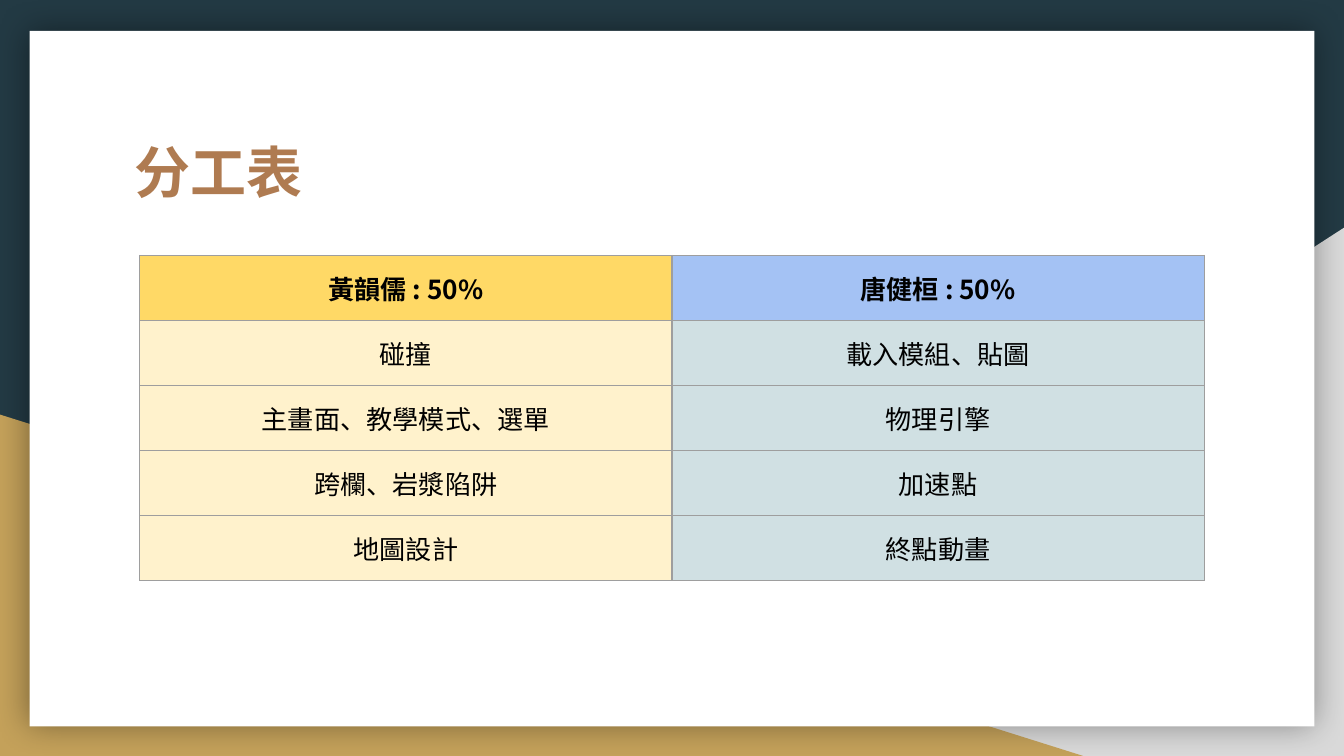
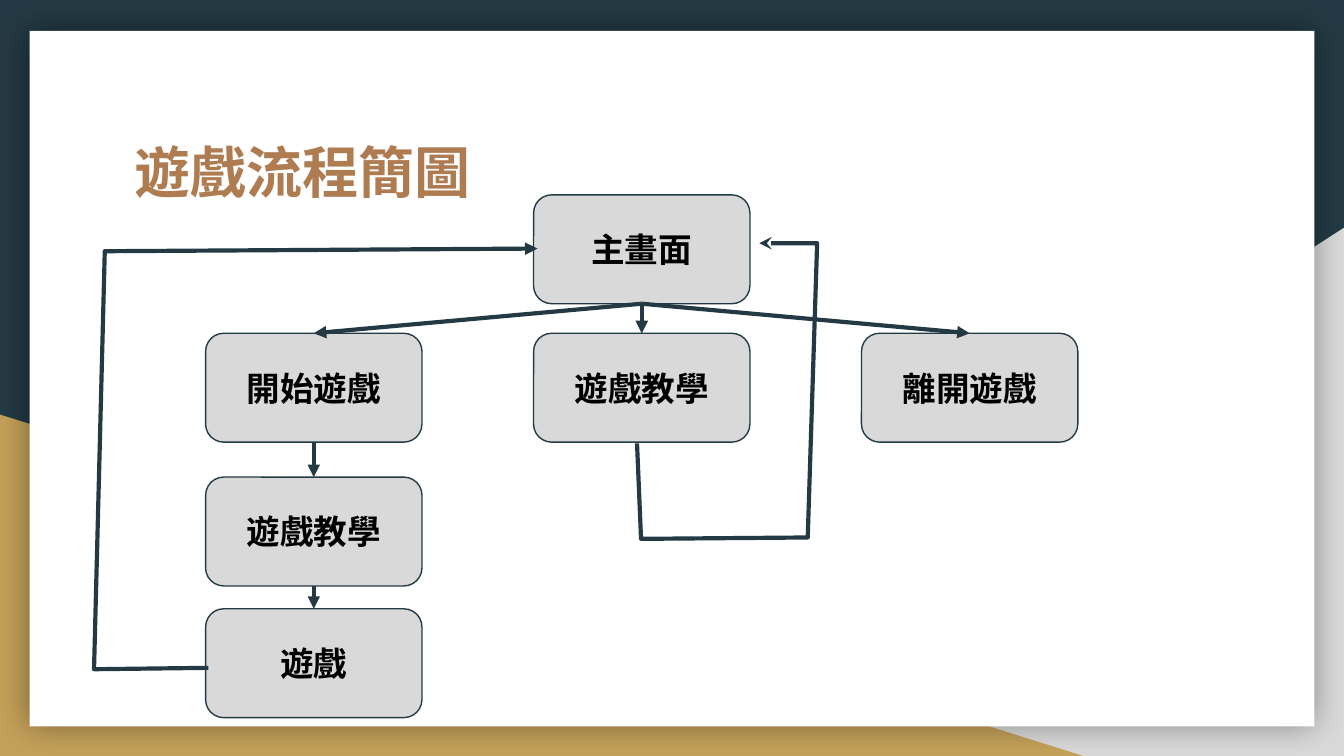
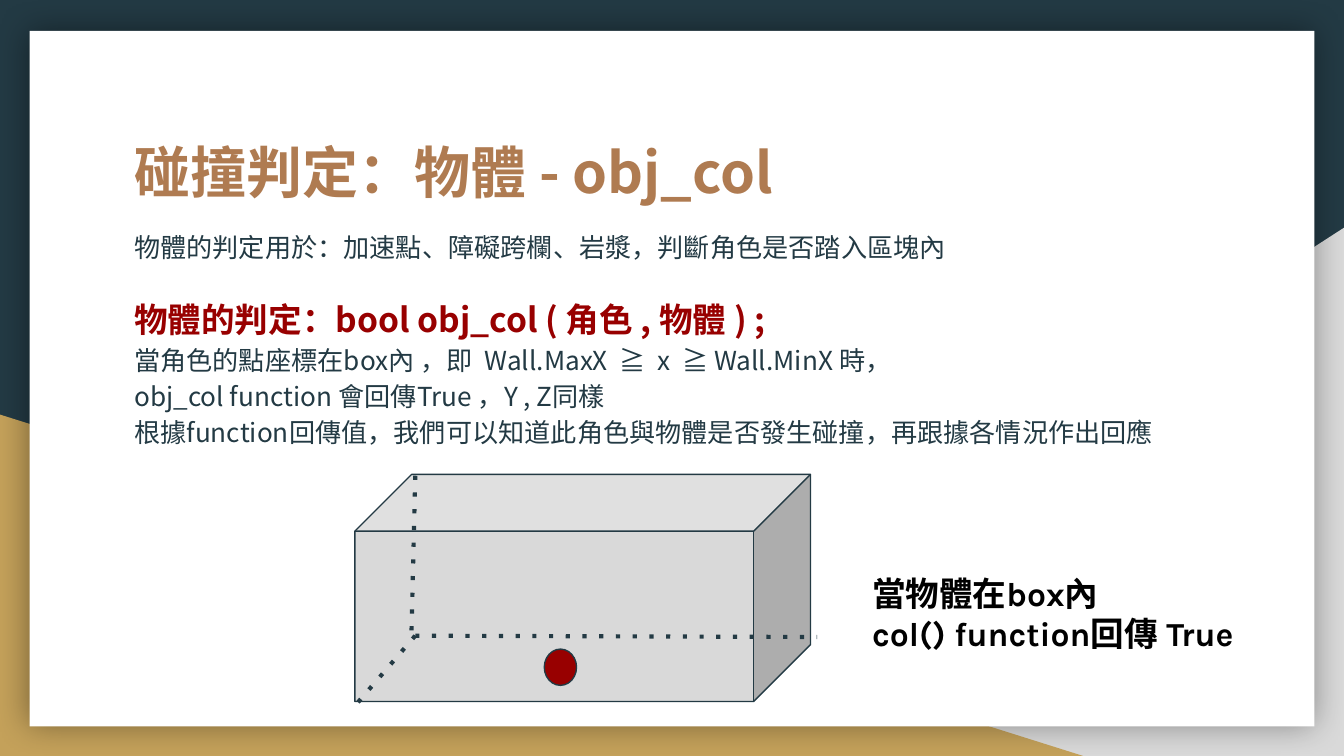
from copy import deepcopy
from dataclasses import dataclass

from lxml import etree
from pptx import Presentation
from pptx.dml.color import RGBColor
from pptx.enum.shapes import MSO_CONNECTOR, MSO_SHAPE
from pptx.enum.text import MSO_ANCHOR, PP_ALIGN
from pptx.oxml.ns import qn
from pptx.util import Inches, Pt

STRAIGHT = MSO_CONNECTOR.STRAIGHT
RECT, ROUND = MSO_SHAPE.RECTANGLE, MSO_SHAPE.ROUNDED_RECTANGLE
TRIANGLE, CUBE, OVAL = MSO_SHAPE.RIGHT_TRIANGLE, MSO_SHAPE.CUBE, MSO_SHAPE.OVAL
LEFT, CENTER = PP_ALIGN.LEFT, PP_ALIGN.CENTER
TOP, MIDDLE = MSO_ANCHOR.TOP, MSO_ANCHOR.MIDDLE
TOP_SIDE, BOTTOM_SIDE = 0, 2


@dataclass(frozen=True)
class Theme:
    font: str = "Noto Sans CJK TC"
    note_font: str = "Karla"
    navy: str = "233A44"
    gold: str = "C4A15A"
    gray: str = "D9D9D9"
    white: str = "FFFFFF"
    black: str = "000000"
    brown: str = "AF7B51"
    red: str = "980000"
    border: str = "9E9E9E"
    title: float = 30
    strong: float = 18
    body: float = 14
    thin: float = 0.75
    thick: float = 2.25


T = Theme()
W, H = 10, 5.625
MARGIN_X, CONTENT_W = 0.9, 8.21

# Content: division of work
WORK_TITLE = "分工表"
WORK = [
    ("黃韻儒 : 50%", "唐健桓 : 50%"),
    ("碰撞", "載入模組、貼圖"),
    ("主畫面、教學模式、選單", "物理引擎"),
    ("跨欄、岩漿陷阱", "加速點"),
    ("地圖設計", "終點動畫"),
]
WORK_HEAD_FILLS = ("FFD966", "A4C2F4")
WORK_BODY_FILLS = ("FFF2CC", "D0E0E3")

# Content: game flow, each step as (text, column, row)
FLOW_TITLE = "遊戲流程簡圖"
STEPS = {
    "main": ("主畫面", 1, 0),
    "start": ("開始遊戲", 0, 1),
    "tutorial": ("遊戲教學", 1, 1),
    "quit": ("離開遊戲", 2, 1),
    "start_tutorial": ("遊戲教學", 0, 2),
    "game": ("遊戲", 0, 3),
}
FLOW_ARROWS = [("main", "tutorial"), ("main", "start"), ("main", "quit"),
               ("start", "start_tutorial"), ("start_tutorial", "game")]
RETURN_ROUTES = [
    ("triangle", [(1.55, 4.97), (0.7, 4.98), (0.78, 1.87), (4, 1.85)]),
    ("stealth", [(4.74, 3.3), (4.77, 4.01), (6.01, 4), (6.08, 1.81), (5.65, 1.81)]),
]
STEP_W, STEP_H = 1.61, 0.81
COLUMN_LEFT, COLUMN_STEP = 1.53, 2.44
ROW_TOPS = (1.45, 2.48, 3.55, 4.53)

# Content: collision test
HIT_TITLE = "碰撞判定：物體 - obj_col"
HIT_USE = "物體的判定用於：加速點、障礙跨欄、岩漿，判斷角色是否踏入區塊內"
HIT_CALL = "物體的判定：bool obj_col ( 角色 , 物體 ) ;"
HIT_RULES = [
    "當角色的點座標在box內 ，即  Wall.MaxX  ≧  x  ≧ Wall.MinX 時，",
    "obj_col function 會回傳True ，Y , Z同樣",
    "根據function回傳值，我們可以知道此角色與物體是否發生碰撞，再跟據各情況作出回應",
]
HIT_NOTE = ["當物體在box內", "col() function回傳 True"]
HIDDEN_EDGES = [((3.09, 4.73), (6.08, 4.74)),
                ((3.09, 3.54), (3.06, 4.78)),
                ((3.09, 4.73), (2.66, 5.23))]


def rgb(value):
    return RGBColor.from_string(value)


def box(*lengths):
    return [Inches(v) for v in lengths]


# Text
def add_run(p, text, size, color, bold=False, font=T.font):
    r = p.add_run()
    r.text = text
    r.font.size, r.font.bold, r.font.name = Pt(size), bold, font
    r.font.color.rgb = rgb(color)
    etree.SubElement(r.font._element, qn("a:ea"), typeface=font)
    return r


def break_after(p, r):
    """Break the line at the size of the run before it."""
    p.add_line_break()
    p._p[-1].append(deepcopy(r.font._element))


def set_frame(tf, anchor=TOP):
    tf.word_wrap = True
    tf.vertical_anchor = anchor
    tf.margin_left = tf.margin_right = tf.margin_top = tf.margin_bottom = Inches(0.1)


def add_text(s, *at):
    tf = s.shapes.add_textbox(*box(*at)).text_frame
    set_frame(tf)
    return tf


# Shapes and lines
def set_line(sp, width, dash=None, head=None):
    sp.line.color.rgb = rgb(T.navy)
    sp.line.width = Pt(width)
    ln = sp.element.spPr.find(qn("a:ln"))
    if dash:
        etree.SubElement(ln, qn("a:prstDash"), val=dash)
    if head:
        etree.SubElement(ln, qn("a:tailEnd"), type=head)


def add_shape(s, kind, at, fill, outlined=True):
    sp = s.shapes.add_shape(kind, *box(*at))
    sp.shadow.inherit = False
    sp.fill.solid()
    sp.fill.fore_color.rgb = rgb(fill)
    if outlined:
        set_line(sp, T.thin)
    else:
        sp.line.fill.background()
    return sp


def add_line(s, start=(0, 0), end=(0, 0), dash=None, head=None):
    cx = s.shapes.add_connector(STRAIGHT, *box(*start, *end))
    set_line(cx, T.thick, dash, head)
    etree.SubElement(cx.element.spPr, qn("a:effectLst"))
    return cx


def add_route(s, points, head):
    start, *rest = [tuple(box(*pt)) for pt in points]
    builder = s.shapes.build_freeform(*start)
    builder.add_line_segments(rest, close=False)
    sp = builder.convert_to_shape()
    sp.shadow.inherit = False
    sp.fill.background()
    set_line(sp, T.thick, head=head)


# Shared frame and title
def build_frame(s, layout):
    """Put the coloured corners and the white panel behind every slide."""
    for ph in list(layout.placeholders)[1:]:
        ph.element.getparent().remove(ph.element)
    corner = add_shape(s, TRIANGLE, (W - 6.08, H - 3.93, 6.08, 3.93), T.gray, False)
    corner.element.spPr.xfrm.set("flipH", "1")
    wedge = add_shape(s, TRIANGLE, (0, H - 2.54, 8.06, 2.54), T.gold, False)
    panel = add_shape(s, RECT, (0.22, 0.23, W - 0.44, H - 0.45), T.white, False)
    shadow = etree.SubElement(panel.element.spPr.find(qn("a:effectLst")),
                              qn("a:outerShdw"), blurRad=str(Pt(18)), dist="0")
    color = etree.SubElement(shadow, qn("a:srgbClr"), val=T.black)
    etree.SubElement(color, qn("a:alpha"), val="40000")
    for sp in (corner, wedge, panel):
        layout.shapes.element.append(sp.element)


def add_slide(prs, layout, title):
    s = prs.slides.add_slide(layout)
    sp = s.shapes.title
    sp.left, sp.top, sp.width, sp.height = box(MARGIN_X, 0.92, CONTENT_W, 1.04)
    set_frame(sp.text_frame)
    p = sp.text_frame.paragraphs[0]
    p.alignment = LEFT
    add_run(p, title, T.title, T.brown, True)
    return s


# Division of work
def set_borders(cell):
    tc_pr = cell._tc.get_or_add_tcPr()
    for side in ("lnL", "lnR", "lnT", "lnB"):
        ln = etree.SubElement(tc_pr, qn(f"a:{side}"), w=str(Pt(T.thin)))
        fill = etree.SubElement(ln, qn("a:solidFill"))
        etree.SubElement(fill, qn("a:srgbClr"), val=T.border)


def draw_work(s):
    rows, cols = len(WORK), len(WORK[0])
    table = s.shapes.add_table(rows, cols, *box(1.04, 1.9, 3.96 * cols, 0.42 * rows)).table
    for i, row in enumerate(WORK):
        fills = WORK_BODY_FILLS if i else WORK_HEAD_FILLS
        for j, text in enumerate(row):
            cell = table.cell(i, j)
            set_borders(cell)
            cell.fill.solid()
            cell.fill.fore_color.rgb = rgb(fills[j])
            cell.margin_left = cell.margin_right = Inches(0.1)
            cell.margin_top = cell.margin_bottom = Inches(0.1)
            p = cell.text_frame.paragraphs[0]
            p.alignment = CENTER
            add_run(p, text, T.body, T.black, i == 0)


# Game flow
def draw_flow(s):
    steps = {}
    for name, (text, col, row) in STEPS.items():
        at = (COLUMN_LEFT + col * COLUMN_STEP, ROW_TOPS[row], STEP_W, STEP_H)
        sp = steps[name] = add_shape(s, ROUND, at, T.gray)
        set_frame(sp.text_frame, MIDDLE)
        p = sp.text_frame.paragraphs[0]
        p.alignment = CENTER
        add_run(p, text, T.strong, T.black, True)
    for start, end in FLOW_ARROWS:
        cx = add_line(s, head="triangle")
        cx.begin_connect(steps[start], BOTTOM_SIDE)
        cx.end_connect(steps[end], TOP_SIDE)
    for head, points in RETURN_ROUTES:
        add_route(s, points, head)


# Collision test
def draw_hit(s):
    tf = add_text(s, MARGIN_X, 1.59, CONTENT_W, 2.68)
    p = tf.paragraphs[0]
    p.line_spacing = 1.15
    add_run(p, HIT_USE, T.body, T.navy)
    p = tf.add_paragraph()
    p.line_spacing, p.space_before = 1.15, Pt(16)
    r = add_run(p, HIT_CALL, T.strong, T.red, True)
    for line in HIT_RULES:
        break_after(p, r)
        r = add_run(p, line, T.body, T.navy)

    add_shape(s, CUBE, (2.64, 3.53, 3.39, 1.69), T.gray)
    add_shape(s, OVAL, (4.05, 4.83, 0.24, 0.27), T.red)
    for start, end in HIDDEN_EDGES:
        add_line(s, start, end, dash="dot")

    tf = add_text(s, 6.39, 4.16, 3.83, 0.94)
    for i, line in enumerate(HIT_NOTE):
        p = tf.add_paragraph() if i else tf.paragraphs[0]
        add_run(p, line, T.strong, T.black, True, T.note_font)


def main():
    prs = Presentation()
    prs.slide_width, prs.slide_height = box(W, H)
    layout = prs.slide_layouts[5]
    fill = prs.slide_master.background.fill
    fill.solid()
    fill.fore_color.rgb = rgb(T.navy)
    pages = [(WORK_TITLE, draw_work), (FLOW_TITLE, draw_flow), (HIT_TITLE, draw_hit)]
    for i, (title, draw) in enumerate(pages):
        s = add_slide(prs, layout, title)
        if i == 0:
            build_frame(s, layout)
        draw(s)
    prs.save("out.pptx")


if __name__ == "__main__":
    main()
